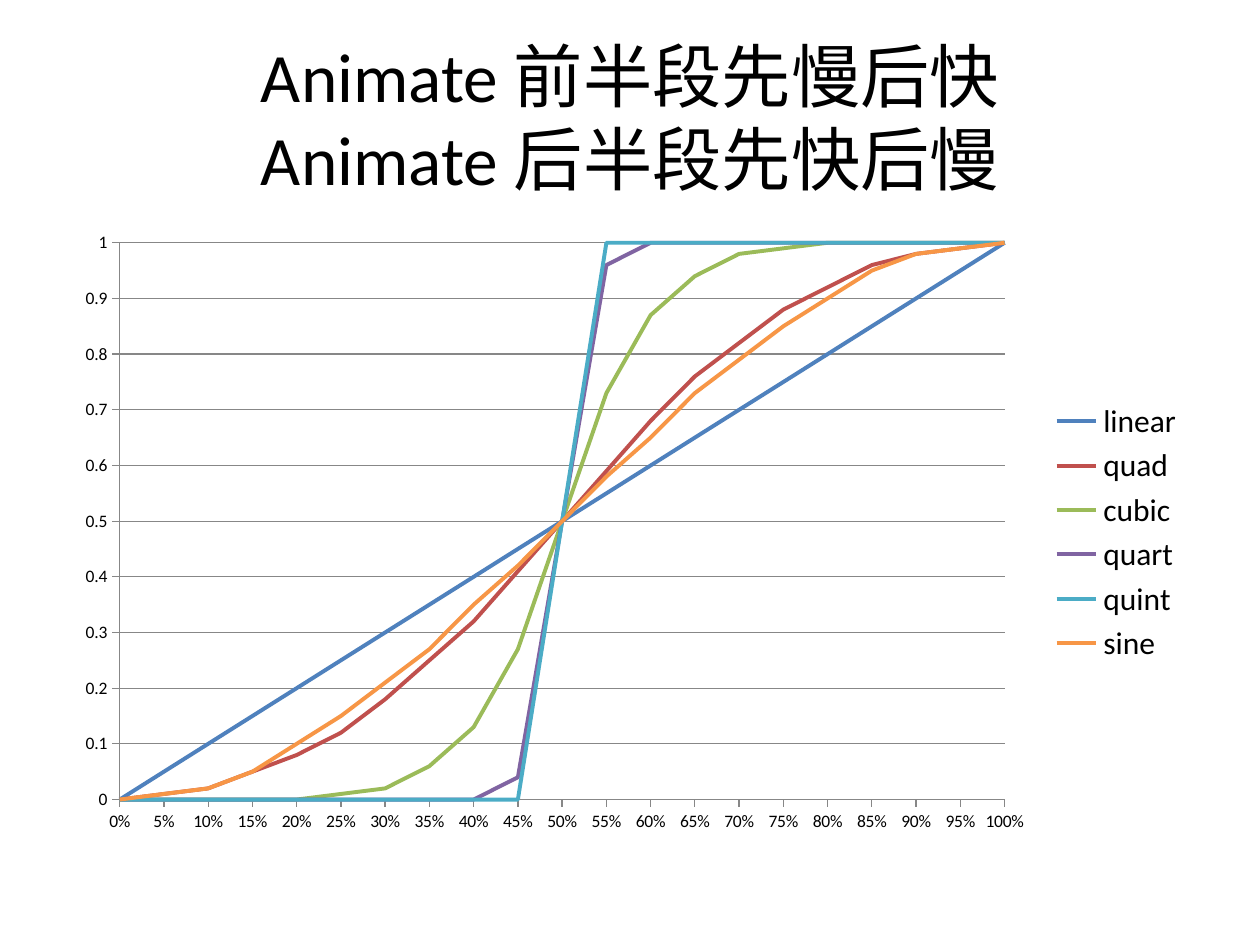
from lxml import etree
from pptx import Presentation
from pptx.chart.data import CategoryChartData
from pptx.dml.color import RGBColor
from pptx.enum.chart import XL_CHART_TYPE as ChartType, XL_LEGEND_POSITION as LegendPosition
from pptx.enum.chart import XL_TICK_MARK as TickMark
from pptx.enum.text import MSO_ANCHOR, MSO_AUTO_SIZE, PP_ALIGN
from pptx.oxml.ns import qn
from pptx.util import Inches, Pt

FONT = "Calibri"
COLORS = {
    "text": "000000",
    "axis": "878787",
    "linear": "4F81BD",
    "quad": "C0504D",
    "cubic": "9BBB59",
    "quart": "8064A2",
    "quint": "4BACC6",
    "sine": "F79646",
}
STEPS = [step / 20 for step in range(21)]
EASINGS = {
    "linear": STEPS,
    "quad": [0, 0.01, 0.02, 0.05, 0.08, 0.12, 0.18, 0.25, 0.32, 0.41, 0.5,
             0.59, 0.68, 0.76, 0.82, 0.88, 0.92, 0.96, 0.98, 0.99, 1],
    "cubic": [0, 0, 0, 0, 0, 0.01, 0.02, 0.06, 0.13, 0.27, 0.5,
              0.73, 0.87, 0.94, 0.98, 0.99, 1, 1, 1, 1, 1],
    "quart": [0] * 9 + [0.04, 0.5, 0.96] + [1] * 9,
    "quint": [0] * 10 + [0.5] + [1] * 10,
    "sine": [0, 0.01, 0.02, 0.05, 0.1, 0.15, 0.21, 0.27, 0.35, 0.42, 0.5,
             0.58, 0.65, 0.73, 0.79, 0.85, 0.9, 0.95, 0.98, 0.99, 1],
}


def style_font(font, size):
    font.name = FONT
    font.size = Pt(size)
    font.color.rgb = RGBColor.from_string(COLORS["text"])


def style_line(line, color, width):
    line.color.rgb = RGBColor.from_string(COLORS[color])
    line.width = Pt(width)


deck = Presentation()
deck.slide_width, deck.slide_height = Inches(10), Inches(7.5)
page = deck.slides.add_slide(deck.slide_layouts[5])

# Title
title = page.shapes.title
title.left, title.top = Inches(0.5), Inches(0.3)
title.width, title.height = Inches(9), Inches(1.25)
frame = title.text_frame
frame.text = "Animate 前半段先慢后快\vAnimate 后半段先快后慢"
frame.word_wrap = True
frame.auto_size = MSO_AUTO_SIZE.NONE
frame.vertical_anchor = MSO_ANCHOR.MIDDLE
para = frame.paragraphs[0]
para.alignment = PP_ALIGN.CENTER
style_font(para.font, 39.6)

# Easing chart
data = CategoryChartData()
data.categories = STEPS
data.categories.number_format = "0%"
for name, values in EASINGS.items():
    data.add_series(name, values)
chart = page.shapes.add_chart(
    ChartType.LINE, Inches(0.5), Inches(1.75), Inches(9), Inches(4.95), data
).chart
chart.has_title = False
style_font(chart.font, 10)

chart.has_legend = True
chart.legend.position = LegendPosition.RIGHT
chart.legend.include_in_layout = False
style_font(chart.legend.font, 18)

plot = chart.plots[0]
plot.vary_by_categories = False
for series in plot.series:
    series.smooth = False
    style_line(series.format.line, series.name, 2.25)

# Axes
steps_axis, value_axis = chart.category_axis, chart.value_axis
for axis, number_format in ((steps_axis, "0%"), (value_axis, "General")):
    axis.major_tick_mark = TickMark.OUTSIDE
    axis.minor_tick_mark = TickMark.NONE
    axis.tick_labels.number_format = number_format
    axis.tick_labels.number_format_is_linked = False
    style_line(axis.format.line, "axis", 0.75)
steps_axis.has_major_gridlines = False
value_axis.minimum_scale, value_axis.maximum_scale = 0, 1
value_axis.major_unit = 0.1
value_axis.has_major_gridlines = True
style_line(value_axis.major_gridlines.format.line, "axis", 0.75)

# The curves start on the value axis, not half a category away from it
axis_xml = chart.value_axis._element
cross = axis_xml.find(qn("c:crossBetween"))
if cross is None:
    cross = etree.Element(qn("c:crossBetween"))
    axis_xml.find(qn("c:crosses")).addnext(cross)
cross.set("val", "midCat")

deck.save("out.pptx")
